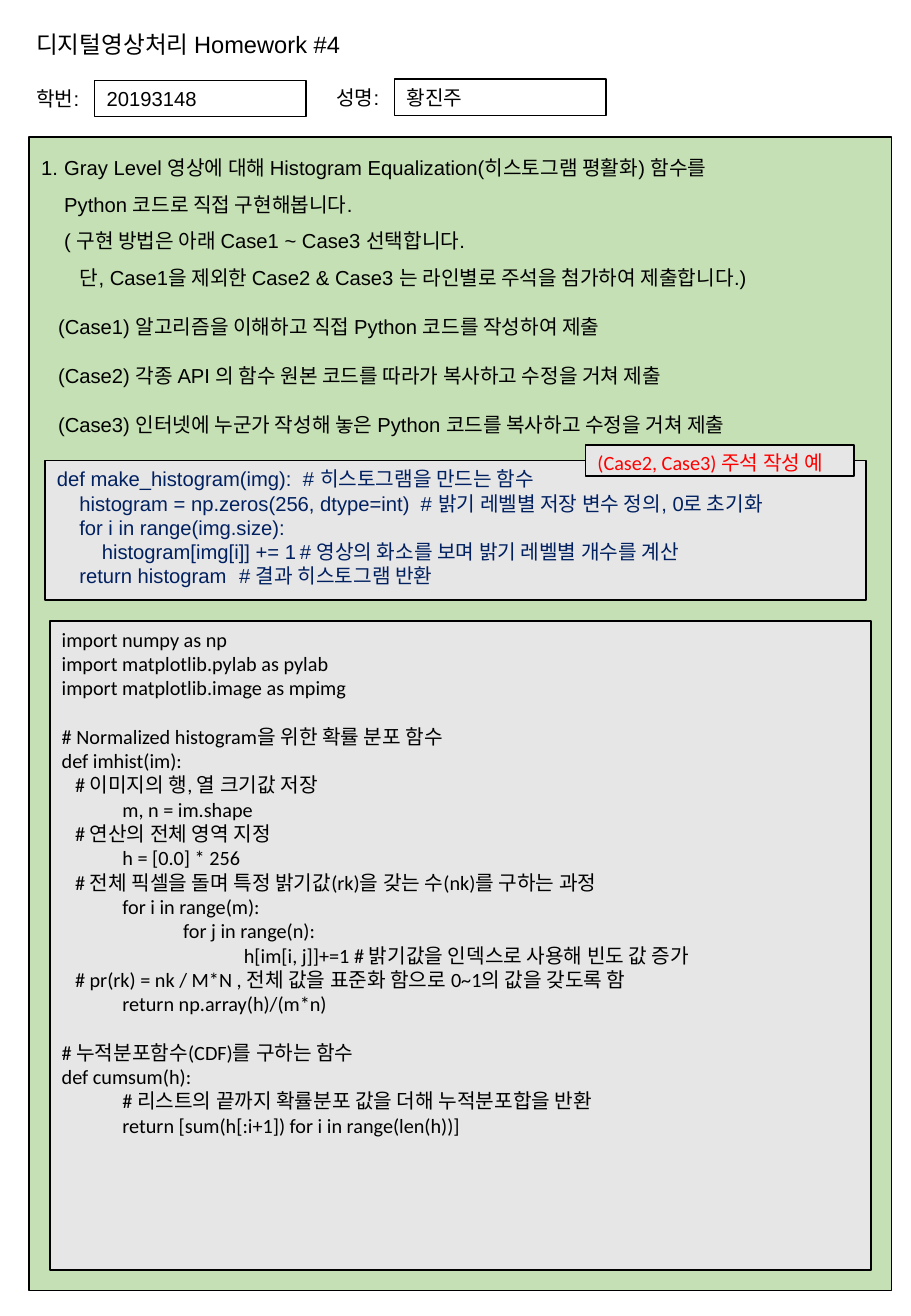
from pptx import Presentation
from pptx.dml.color import RGBColor
from pptx.enum.shapes import MSO_SHAPE
from pptx.enum.text import MSO_ANCHOR, MSO_AUTO_SIZE, PP_ALIGN
from pptx.oxml.ns import qn
from pptx.util import Inches, Pt
from lxml import etree

RECT = MSO_SHAPE.RECTANGLE
TOP, MID = MSO_ANCHOR.TOP, MSO_ANCHOR.MIDDLE
FIT, FIXED = MSO_AUTO_SIZE.SHAPE_TO_FIT_TEXT, MSO_AUTO_SIZE.NONE
LEFT, JUST = PP_ALIGN.LEFT, PP_ALIGN.JUSTIFY
BLACK, WHITE, GREEN = "000000", "FFFFFF", "C5E0B4"
GRAY, NAVY, RED = "E7E6E6", "002060", "FF0000"
GAP = 14.4
STEP = 0.185
NOTE = 0.11

TASK = ["Gray Level 영상에 대해 Histogram Equalization(히스토그램 평활화) 함수를",
        "Python 코드로 직접 구현해봅니다.",
        "( 구현 방법은 아래 Case1 ~ Case3 선택합니다."]
LIMIT = "단, Case1을 제외한 Case2 & Case3 는 라인별로 주석을 첨가하여 제출합니다.)"
CASES = ["(Case1) 알고리즘을 이해하고 직접 Python 코드를 작성하여 제출",
         "(Case2) 각종 API 의 함수 원본 코드를 따라가 복사하고 수정을 거쳐 제출",
         "(Case3) 인터넷에 누군가 작성해 놓은 Python 코드를 복사하고 수정을 거쳐 제출"]
SAMPLE = [
    (0, "def make_histogram(img):  # 히스토그램을 만드는 함수"),
    (STEP, "histogram = np.zeros(256, dtype=int)  # 밝기 레벨별 저장 변수 정의, 0로 초기화"),
    (STEP, "for i in range(img.size):"),
    (2 * STEP, "histogram[img[i]] += 1\t# 영상의 화소를 보며 밝기 레벨별 개수를 계산"),
    (STEP, "return histogram\t# 결과 히스토그램 반환"),
]
ANSWER = [
    [(0, "import numpy as np"),
     (0, "import matplotlib.pylab as pylab"),
     (0, "import matplotlib.image as mpimg")],
    [(0, "# Normalized histogram을 위한 확률 분포 함수"),
     (0, "def imhist(im):"),
     (NOTE, "# 이미지의 행, 열 크기값 저장"),
     (0.5, "m, n = im.shape"),
     (NOTE, "# 연산의 전체 영역 지정"),
     (0.5, "h = [0.0] * 256"),
     (NOTE, "# 전체 픽셀을 돌며 특정 밝기값(rk)을 갖는 수(nk)를 구하는 과정"),
     (0.5, "for i in range(m):"),
     (1, "for j in range(n):"),
     (1.5, "h[im[i, j]]+=1 # 밝기값을 인덱스로 사용해 빈도 값 증가"),
     (NOTE, "# pr(rk) = nk / M*N , 전체 값을 표준화 함으로 0~1의 값을 갖도록 함"),
     (0.5, "return np.array(h)/(m*n)")],
    [(0, "# 누적분포함수(CDF)를 구하는 함수"),
     (0, "def cumsum(h):"),
     (0.5, "# 리스트의 끝까지 확률분포 값을 더해 누적분포합을 반환"),
     (0.5, "return [sum(h[:i+1]) for i in range(len(h))]")],
]


def color(code):
    """Turn a hex string into a colour."""
    return RGBColor.from_string(code)


def frame(shape, size=FIXED, wrap=True, anchor=TOP):
    """Set up the text frame of a shape and return it."""
    text = shape.text_frame
    text.word_wrap, text.auto_size = wrap, size
    text.vertical_anchor = anchor
    return text


def label(slide, area, wrap=True, size=FIXED, anchor=TOP):
    """Add a text box and return its frame."""
    shape = slide.shapes.add_textbox(*map(Inches, area))
    return frame(shape, size, wrap, anchor)


def panel(slide, area, fill, width=1, size=FIXED):
    """Add an outlined rectangle and return its frame."""
    shape = slide.shapes.add_shape(RECT, *map(Inches, area))
    shape.shadow.inherit = False
    shape.fill.solid()
    shape.fill.fore_color.rgb = color(fill)
    shape.line.color.rgb = color(BLACK)
    shape.line.width = Pt(width)
    return frame(shape, size)


def write(text, lines, font="Arial", size=12, ink=BLACK, align=LEFT,
          space=1, before=0, left=0, first=0):
    """Add one paragraph, with a line break between its lines."""
    para = text.paragraphs[0]
    if para.runs:
        para = text.add_paragraph()
    para.alignment, para.line_spacing = align, space
    para.space_before = Pt(before)
    props = para._p.get_or_add_pPr()
    props.set("marL", str(Inches(left)))
    props.set("indent", str(Inches(first)))
    for i, line in enumerate(lines):
        if i:
            para.add_line_break()
        run = para.add_run()
        run.text = line
        run.font.name, run.font.size = font, Pt(size)
        run.font.color.rgb = color(ink)
    return props


def number(props):
    """Number a paragraph."""
    etree.SubElement(props, qn("a:buFont"), typeface="Arial")
    etree.SubElement(props, qn("a:buAutoNum"), type="arabicPeriod")


def stop(props, place):
    """Give a paragraph one tab stop."""
    tabs = etree.SubElement(props, qn("a:tabLst"))
    etree.SubElement(tabs, qn("a:tab"), pos=str(Inches(place)), algn="l")


def field(slide, left, top, name, value):
    """Add a name and its boxed value."""
    write(label(slide, (left, top, 0.58, 0.3), False, FIT), [name])
    box = panel(slide, (left + 0.58, top, 1.74, 0.3), WHITE, 0.75, FIT)
    write(box, [value])


def task(slide):
    """Add the green task panel."""
    text = panel(slide, (0.24, 1.13, 7.1, 9.49), GREEN)
    number(write(text, TASK, space=1.5, before=7.5, left=0.19, first=-0.19))
    write(text, [LIMIT], space=1.5, left=0.32)
    for case in CASES:
        write(text, [case], space=1.5, before=7.5, left=0.14)


def answer(slide):
    """Add the submitted code."""
    text = panel(slide, (0.41, 5.11, 6.76, 5.34), GRAY)
    for b, block in enumerate(ANSWER):
        for i, (dent, line) in enumerate(block):
            before = GAP if b and not i else 0
            write(text, [line], "Calibri", align=JUST, before=before, first=dent)


def sample(slide):
    """Add the commented sample and its tag."""
    text = panel(slide, (0.37, 3.79, 6.76, 1.15), GRAY)
    for dent, line in SAMPLE:
        props = write(text, [line], ink=NAVY, align=JUST, first=dent)
        if "\t" in line:
            stop(props, 2.14)
    tag = panel(slide, (4.82, 3.66, 2.21, 0.26), GRAY)
    write(tag, ["(Case2, Case3) 주석 작성 예"], "Calibri", ink=RED, align=JUST)


def main():
    """Build the homework sheet."""
    deck = Presentation()
    deck.slide_width, deck.slide_height = Inches(7.5), Inches(10.83)
    slide = deck.slides.add_slide(deck.slide_layouts[6])
    title = label(slide, (0.2, 0.16, 6.47, 0.43), anchor=MID)
    write(title, ["디지털영상처리 Homework #4"], size=14, space=0.9)
    task(slide)
    answer(slide)
    field(slide, 0.2, 0.66, "학번:", "20193148")
    field(slide, 2.67, 0.65, "성명:", "황진주")
    sample(slide)
    deck.save("out.pptx")


main()
